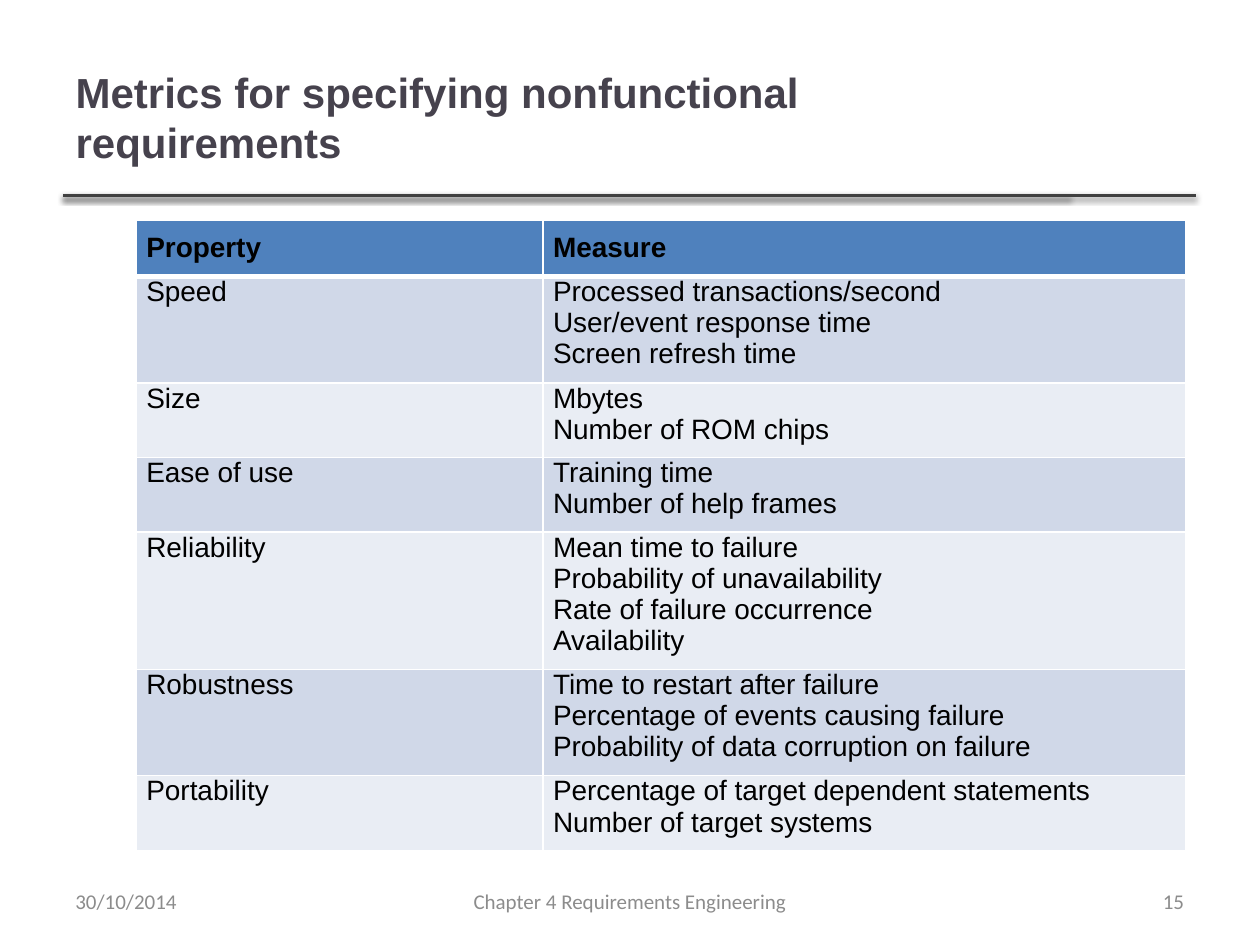
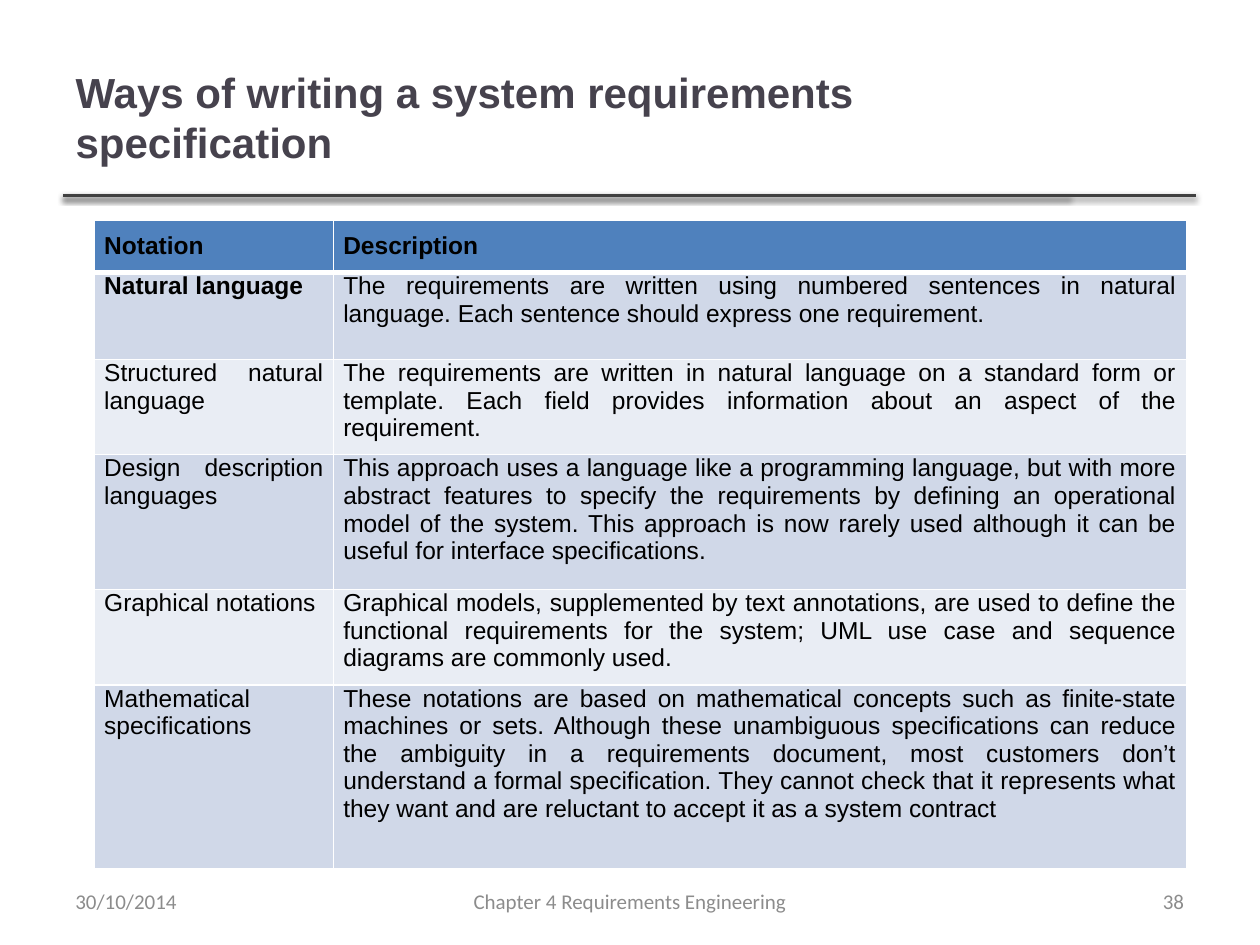
from dataclasses import dataclass

from lxml.etree import SubElement
from pptx import Presentation
from pptx.dml.color import RGBColor
from pptx.enum.shapes import MSO_CONNECTOR
from pptx.enum.text import MSO_ANCHOR, MSO_AUTO_SIZE, PP_ALIGN
from pptx.oxml.ns import qn
from pptx.util import Cm, Pt

DATE = "30/10/2014"
CHAPTER = "Chapter 4 Requirements Engineering"

METRICS = {
    "title": "Metrics for specifying nonfunctional requirements",
    "number": 15,
    "size": 16,
    "left": 2.75,
    "top": 4.44,
    "columns": (8.2, 12.95),
    "row_heights": (1.1, 2.15, 1.5, 1.5, 2.77, 2.14, 1.5),
    "bold_cells": (),
    "rows": [
        ("Property", "Measure"),
        ("Speed", ["Processed transactions/second", "User/event response time", "Screen refresh time"]),
        ("Size", ["Mbytes", "Number of ROM chips"]),
        ("Ease of use", ["Training time", "Number of help frames"]),
        ("Reliability", ["Mean time to failure", "Probability of unavailability",
                         "Rate of failure occurrence", "Availability"]),
        ("Robustness", ["Time to restart after failure", "Percentage of events causing failure",
                        "Probability of data corruption on failure"]),
        ("Portability", ["Percentage of target dependent statements", "Number of target systems"]),
    ],
}

NOTATIONS = {
    "title": "Ways of writing a system requirements specification",
    "number": 38,
    "size": 14,
    "left": 1.9,
    "top": 4.44,
    "columns": (4.82, 17.2),
    "row_heights": (1.02, 1.75, 1.92, 2.72, 1.92, 3.7),
    "bold_cells": ("Natural language",),
    "rows": [
        ("Notation", "Description"),
        ("Natural language",
         "The requirements are written using numbered sentences in natural language. "
         "Each sentence should express one requirement."),
        ("Structured natural language",
         "The requirements are written in natural language on a standard form or template. "
         "Each field provides information about an aspect of the requirement."),
        ("Design description languages",
         "This approach uses a language like a programming language, but with more abstract "
         "features to specify the requirements by defining an operational model of the system. "
         "This approach is now rarely used although it can be useful for interface specifications."),
        ("Graphical notations",
         "Graphical models, supplemented by text annotations, are used to define the functional "
         "requirements for the system; UML use case and sequence diagrams are commonly used."),
        ("Mathematical specifications",
         "These notations are based on mathematical concepts such as finite-state machines or sets. "
         "Although these unambiguous specifications can reduce the ambiguity in a requirements "
         "document, most customers don’t understand a formal specification. They cannot check that "
         "it represents what they want and are reluctant to accept it as a system contract"),
    ],
}


@dataclass(frozen=True)
class Theme:
    title: str = "46424D"
    rule: str = "404040"
    footer: str = "8C8C8C"
    text: str = "000000"
    border: str = "FFFFFF"
    header: str = "4F81BD"
    bands: tuple = ("D0D8E8", "E9EDF4")
    body_font: str = "Arial"
    footer_font: str = "Calibri"
    title_size: int = 24
    footer_size: int = 12


THEME = Theme()
MARGIN = 1.27
RULE_TOP = 3.94
RULE_ENDS = (21.56, 24.1)
FOOTER_TOP, FOOTER_HEIGHT = 17.65, 1.02


def write_text(frame, text, *, size, color, font=THEME.body_font, bold=False,
               align=PP_ALIGN.LEFT, anchor=MSO_ANCHOR.MIDDLE):
    frame.word_wrap = True
    frame.vertical_anchor = anchor
    lines = [text] if isinstance(text, str) else text
    for index, line in enumerate(lines):
        paragraph = frame.paragraphs[0] if index == 0 else frame.add_paragraph()
        paragraph.alignment = align
        run = paragraph.add_run()
        run.text = line
        run.font.name = font
        run.font.size = Pt(size)
        run.font.bold = bold
        run.font.color.rgb = RGBColor.from_string(color)


def add_rule(slide, end):
    rule = slide.shapes.add_connector(
        MSO_CONNECTOR.STRAIGHT, Cm(MARGIN), Cm(RULE_TOP), Cm(end), Cm(RULE_TOP))
    rule.line.width = Pt(2)
    rule.line.color.rgb = RGBColor.from_string(THEME.rule)
    effects = SubElement(rule._element.spPr, qn("a:effectLst"))
    shadow = SubElement(effects, qn("a:outerShdw"), blurRad="40000", dist="20000",
                        dir="5400000", rotWithShape="0")
    color = SubElement(shadow, qn("a:srgbClr"), val="000000")
    SubElement(color, qn("a:alpha"), val="38000")


def add_title(slide, text):
    title = slide.shapes.title
    title.left, title.top, title.width, title.height = Cm(MARGIN), Cm(0.76), Cm(20.28), Cm(3.18)
    title.text_frame.auto_size = MSO_AUTO_SIZE.NONE
    write_text(title.text_frame, text, size=THEME.title_size, color=THEME.title, bold=True)


def add_footers(slide, number):
    footers = (
        (DATE, MARGIN, 5.92, PP_ALIGN.LEFT),
        (CHAPTER, 8.68, 8.04, PP_ALIGN.CENTER),
        (str(number), 18.2, 5.92, PP_ALIGN.RIGHT),
    )
    for text, left, width, align in footers:
        box = slide.shapes.add_textbox(Cm(left), Cm(FOOTER_TOP), Cm(width), Cm(FOOTER_HEIGHT))
        write_text(box.text_frame, text, size=THEME.footer_size, color=THEME.footer,
                   font=THEME.footer_font, align=align)


def set_borders(cell, row):
    properties = cell._tc.get_or_add_tcPr()
    widths = {"lnL": 1, "lnR": 1, "lnT": 3 if row == 1 else 1, "lnB": 3 if row == 0 else 1}
    for side, width in widths.items():
        line = SubElement(properties, qn(f"a:{side}"), w=str(Pt(width)))
        fill = SubElement(line, qn("a:solidFill"))
        SubElement(fill, qn("a:srgbClr"), val=THEME.border)


def add_content_table(slide, content):
    rows, columns, heights = content["rows"], content["columns"], content["row_heights"]
    table = slide.shapes.add_table(
        len(rows), len(columns), Cm(content["left"]), Cm(content["top"]),
        Cm(sum(columns)), Cm(sum(heights))).table
    for column, width in zip(table.columns, columns):
        column.width = Cm(width)
    for row, (values, height) in enumerate(zip(rows, heights)):
        table.rows[row].height = Cm(height)
        is_header = row == 0
        fill = THEME.header if is_header else THEME.bands[(row - 1) % 2]
        for column, text in enumerate(values):
            cell = table.cell(row, column)
            set_borders(cell, row)
            cell.fill.solid()
            cell.fill.fore_color.rgb = RGBColor.from_string(fill)
            cell.margin_left = cell.margin_right = Cm(0.2)
            cell.margin_top = Cm(0.25 if is_header else 0)
            cell.margin_bottom = Cm(0.25)
            write_text(cell.text_frame, text, size=content["size"], color=THEME.text,
                       bold=is_header or text in content["bold_cells"], align=PP_ALIGN.JUSTIFY)
            cell.vertical_anchor = MSO_ANCHOR.TOP


def main():
    presentation = Presentation()
    presentation.slide_width, presentation.slide_height = Cm(25.4), Cm(19.05)
    title_only = presentation.slide_layouts[5]
    for content in (METRICS, NOTATIONS):
        slide = presentation.slides.add_slide(title_only)
        for end in RULE_ENDS:
            add_rule(slide, end)
        add_title(slide, content["title"])
        add_content_table(slide, content)
        add_footers(slide, content["number"])
    presentation.save("out.pptx")


if __name__ == "__main__":
    main()
